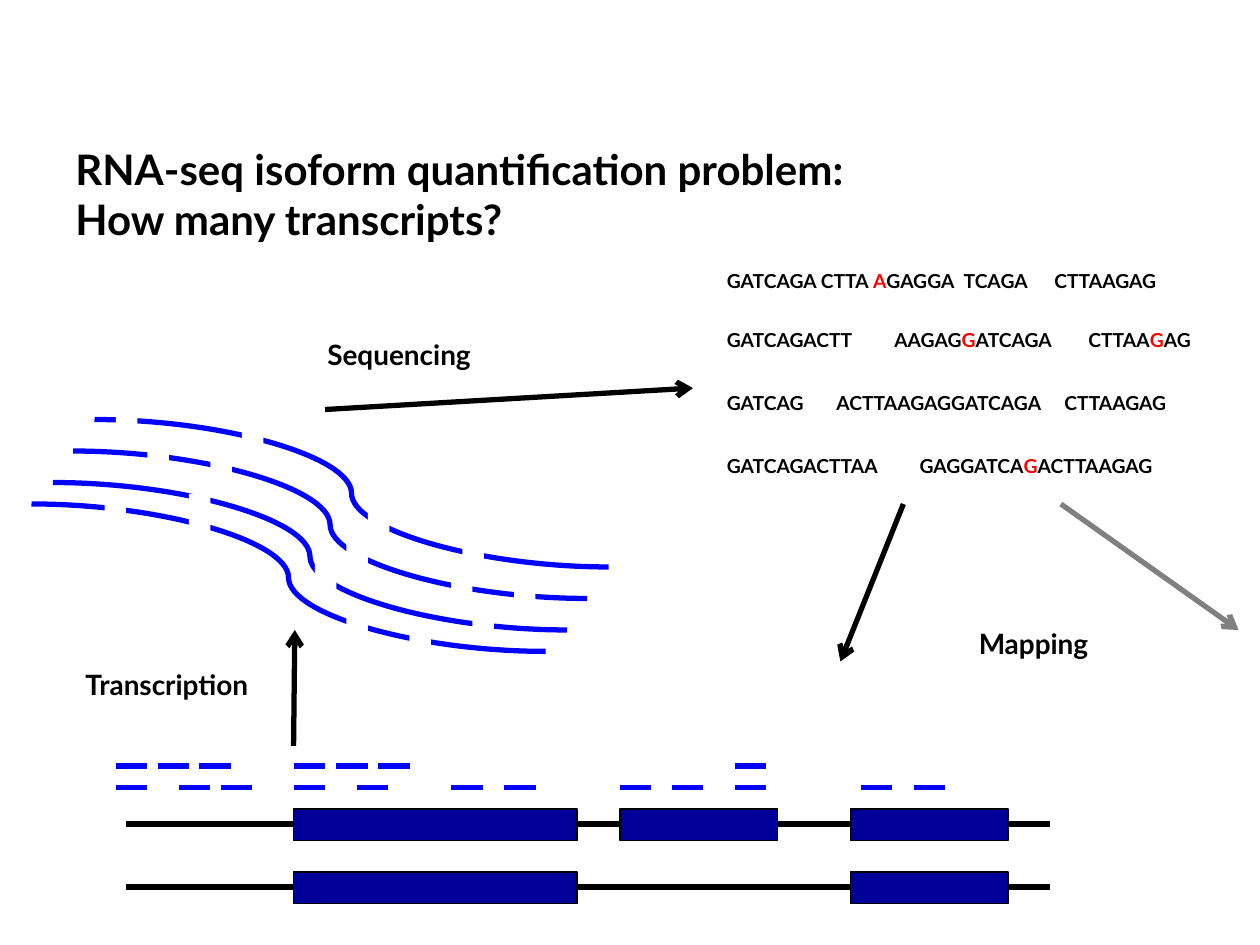
from lxml import etree
from pptx import Presentation
from pptx import util as u
from pptx.dml.color import RGBColor
from pptx.enum import shapes, text
from pptx.oxml.ns import qn

Inches = u.Inches
COLORS = {"ink": "000000", "variant": "FF0000", "rna": "0402FF", "exon": "000099",
          "muted": "808080", "paper": "FFFFFF"}

deck = Presentation()
deck.slide_width, deck.slide_height = Inches(10), Inches(7.5)
page = deck.slides.add_slide(deck.slide_layouts[6])


def add_text(left, top, width, height, size, lines, tabs=()):
    box = page.shapes.add_textbox(Inches(left), Inches(top), Inches(width), Inches(height))
    frame = box.text_frame
    frame.word_wrap = True
    frame.vertical_anchor = text.MSO_ANCHOR.MIDDLE
    para = frame.paragraphs[0]
    if tabs:
        stops = etree.SubElement(para._p.get_or_add_pPr(), qn("a:tabLst"))
        for position in tabs:
            etree.SubElement(stops, qn("a:tab"), pos=str(Inches(position)), algn="l")
    for number, line in enumerate(lines):
        if number:
            para.add_line_break()
        for index, part in enumerate(line.split("*")):
            span = para.add_run()
            span.text = part
            span.font.name = "Lato"
            span.font.size = u.Pt(size)
            span.font.bold = True
            color = "variant" if index % 2 else "ink"
            span.font.color.rgb = RGBColor.from_string(COLORS[color])


def add_line(start, end, color, kind=shapes.MSO_CONNECTOR.STRAIGHT, arrow=False):
    line = page.shapes.add_connector(kind, *[Inches(value) for value in (*start, *end)])
    line.line.color.rgb = RGBColor.from_string(COLORS[color])
    line.line.width = u.Pt(3)
    if arrow:
        etree.SubElement(line.line._get_or_add_ln(), qn("a:tailEnd"), type="arrow")
    etree.SubElement(line._element.spPr, qn("a:effectLst"))


add_text(0.5, 1.08, 9, 0.91, 24,
         ["RNA-seq isoform quantification problem:", "How many transcripts?"])

for left, top in [(0.25, 4), (0.42, 3.83), (0.58, 3.58), (0.75, 3.33)]:
    add_line((left, top), (left + 4.08, top + 1.17), "rna", shapes.MSO_CONNECTOR.CURVE)

reads = [
    (2.08, "GATCAGA CTTA *A*GAGGA\tTCAGA\tCTTAAGAG", (1.88, 2.6)),
    (2.55, "GATCAGACTT\tAAGAG*G*ATCAGA\tCTTAA*G*AG", (1.33, 2.87)),
    (3.05, "GATCAG\tACTTAAGAGGATCAGA\tCTTAAGAG", (0.87, 2.68)),
    (3.55, "GATCAGACTTAA\tGAGGATCA*G*ACTTAAGAG", (1.53,)),
]
for top, sequence, tabs in reads:
    add_text(5.67, top, 4.17, 0.29, 11, [sequence], tabs)

for left, top, step in [(0.58, 5.25, "Transcription"), (2.5, 2.63, "Sequencing"),
                        (7.67, 4.92, "Mapping")]:
    add_text(left, top, 1.83, 0.37, 16, [step])

for start, end, color in [
    ((2.33, 5.92), (2.34, 5), "ink"),
    ((2.58, 3.25), (5.5, 3.08), "ink"),
    ((7.17, 4), (6.67, 5.25), "ink"),
    ((8.42, 4), (9.83, 5), "muted"),
]:
    add_line(start, end, color, arrow=True)

blocks = [(left, 3.92, 0.17, 0.42, "paper") for left in (0.83, 1.5)]
gaps = [(1.67, 3.58), (1.17, 3.5), (3.58, 4.5), (2.75, 4.17), (2.5, 4.42), (3.25, 4.92),
        (2.75, 4.83), (3.75, 4.75), (4.08, 4.58), (3.67, 4.17), (2.92, 3.92),
        (1.92, 3.25), (0.92, 3.08)]
blocks += [(left, top, 0.17, 0.33, "paper") for left, top in gaps]

isoforms = [
    (6.54, [(2.33, 2.25), (4.92, 1.25), (6.75, 1.25)]),
    (7.04, [(2.33, 2.25), (6.75, 1.25)]),
]
for middle, exons in isoforms:
    add_line((1, middle), (8.33, middle), "ink")
    blocks += [(left, middle - 0.12, width, 0.25, "exon") for left, width in exons]

for left, top, width, height, color in blocks:
    block = page.shapes.add_shape(shapes.MSO_SHAPE.RECTANGLE, Inches(left), Inches(top),
                                  Inches(width), Inches(height))
    block.shadow.inherit = False
    block.fill.solid()
    block.fill.fore_color.rgb = RGBColor.from_string(COLORS[color])
    if color == "exon":
        block.line.color.rgb = RGBColor.from_string(COLORS["ink"])
        block.line.width = u.Pt(0.75)
    else:
        block.line.fill.background()

mapped = {
    6.08: (0.92, 1.25, 1.58, 2.33, 2.67, 3, 5.83),
    6.25: (0.92, 1.42, 1.75, 2.33, 2.83, 3.58, 4, 4.92, 5.33, 5.83, 6.83, 7.25),
}
for level, starts in mapped.items():
    for left in starts:
        add_line((left, level), (left + 0.25, level), "rna")

deck.save("out.pptx")
